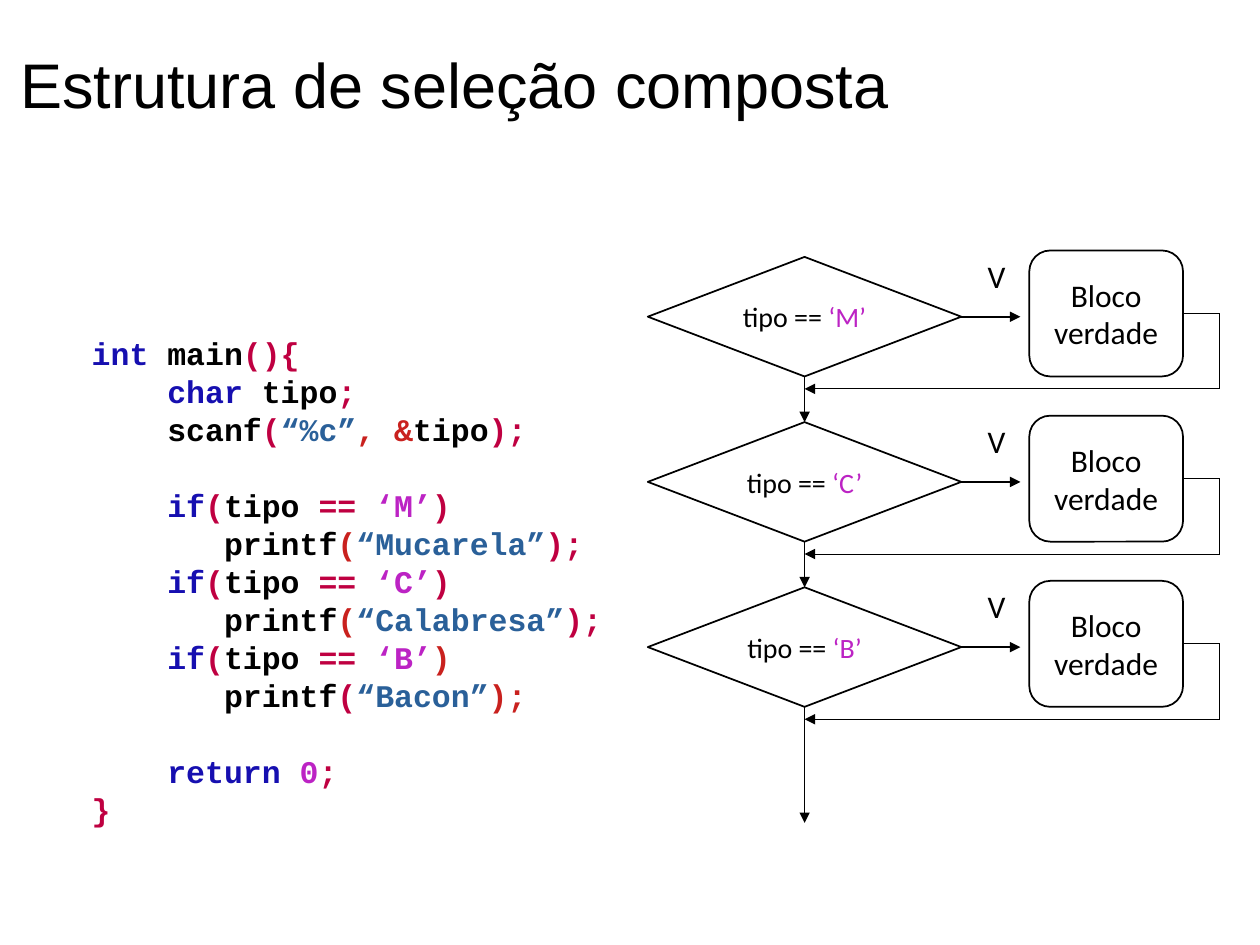
from dataclasses import dataclass

from lxml.etree import SubElement
from pptx import Presentation
from pptx.dml.color import RGBColor
from pptx.enum.shapes import MSO_CONNECTOR as CONN, MSO_SHAPE as SHAPE
from pptx.enum.text import MSO_ANCHOR as ANCHOR, PP_ALIGN as ALIGN
from pptx.oxml.ns import qn
from pptx.util import Cm, Pt


@dataclass(frozen=True)
class Theme:
    black: str = "000000"
    white: str = "FFFFFF"
    keyword: str = "160FB0"
    symbol: str = "BF0041"
    alert: str = "C9211E"
    string: str = "2A6099"
    literal: str = "BC23C4"
    heading: str = "Arial"
    body: str = "Calibri"
    mono: str = "Courier New"
    title_size: float = 36
    text_size: float = 18
    test_size: float = 16
    code_line: float = 21.7
    outline: float = 1
    flow: float = 0.5


T = Theme()


@dataclass(frozen=True)
class Branch:
    letter: str
    flavour: str
    test_close: str = T.symbol
    call_open: str = T.alert
    call_close: str = T.symbol


@dataclass(frozen=True)
class Line:
    runs: list
    gap: bool = False


BRANCHES = [
    Branch("M", "Mucarela"),
    Branch("C", "Calabresa"),
    Branch("B", "Bacon", T.alert, T.symbol, T.alert),
]
TOP, PITCH = 5.05, 3.33
TEST_X, TEST_W, TEST_H, TEST_DROP = 13.06, 6.32, 2.41, 0.13
BLOCK_X, BLOCK_W, BLOCK_H = 20.75, 3.1, 2.54
AXIS_X = TEST_X + TEST_W / 2
RETURN_X, RETURN_DROP = 24.59, 2.79
ARROW_END_X, FLOW_END_Y = 20.57, 16.59


def write(p, text: str, *, font: str = T.body, size: float = T.text_size,
          color: str = T.black, bold: bool = False) -> None:
    r = p.add_run()
    r.text = text
    r.font.name = font
    r.font.size = Pt(size)
    r.font.bold = bold
    r.font.color.rgb = RGBColor.from_string(color)


def add_box(s, x: float, y: float, w: float, h: float):
    sp = s.shapes.add_textbox(Cm(x), Cm(y), Cm(w), Cm(h))
    sp.text_frame.word_wrap = False
    return sp.text_frame


def add_node(s, kind, x: float, y: float, w: float, h: float):
    sp = s.shapes.add_shape(kind, Cm(x), Cm(y), Cm(w), Cm(h))
    sp.shadow.inherit = False
    sp.fill.solid()
    sp.fill.fore_color.rgb = RGBColor.from_string(T.white)
    sp.line.color.rgb = RGBColor.from_string(T.black)
    sp.line.width = Pt(T.outline)
    tf = sp.text_frame
    tf.word_wrap = True
    tf.vertical_anchor = ANCHOR.MIDDLE
    tf.paragraphs[0].alignment = ALIGN.CENTER
    return sp


def add_line(s, x1: float, y1: float, x2: float, y2: float, *,
             width: float = T.flow, arrow: bool = False):
    c = s.shapes.add_connector(CONN.STRAIGHT, Cm(x1), Cm(y1), Cm(x2), Cm(y2))
    c.line.color.rgb = RGBColor.from_string(T.black)
    c.line.width = Pt(width)
    if arrow:
        SubElement(c.line._get_or_add_ln(), qn("a:tailEnd"), type="triangle")
    SubElement(c._element.spPr, qn("a:effectLst"))
    return c


def add_step(s, branch: Branch, top: float):
    test = add_node(s, SHAPE.FLOWCHART_DECISION, TEST_X, top + TEST_DROP, TEST_W, TEST_H)
    p = test.text_frame.paragraphs[0]
    write(p, "tipo == ", size=T.test_size)
    write(p, f"‘{branch.letter}’", size=T.test_size, color=T.literal)

    block = add_node(s, SHAPE.ROUNDED_RECTANGLE, BLOCK_X, top, BLOCK_W, BLOCK_H)
    write(block.text_frame.paragraphs[0], "Bloco verdade")

    test_y = top + TEST_DROP + TEST_H / 2
    c = add_line(s, TEST_X + TEST_W, test_y, ARROW_END_X, test_y,
                 width=T.outline, arrow=True)
    c.begin_connect(test, 3)
    write(add_box(s, 19.66, top, 0.86, 1.02).paragraphs[0], "V")

    block_y, return_y = top + BLOCK_H / 2, top + RETURN_DROP
    c = add_line(s, BLOCK_X + BLOCK_W, block_y, RETURN_X, block_y)
    c.begin_connect(block, 3)
    add_line(s, RETURN_X, block_y, RETURN_X, return_y)
    add_line(s, RETURN_X, return_y, AXIS_X, return_y, arrow=True)
    return test


def branch_lines(branch: Branch, gap: bool) -> list[Line]:
    return [
        Line([("    ", T.black), ("if", T.keyword), ("(", T.symbol), ("tipo ", T.black),
              ("== ", T.symbol), (f"‘{branch.letter}’", T.literal),
              (")", branch.test_close)], gap),
        Line([("       printf", T.black), ("(", branch.call_open),
              (f"“{branch.flavour}”", T.string), (");", branch.call_close)]),
    ]


def add_code(s) -> None:
    lines = [
        Line([("int ", T.keyword), ("main", T.black), ("(){", T.symbol)]),
        Line([("    ", T.black), ("char ", T.keyword), ("tipo", T.black), (";", T.symbol)]),
        Line([("    scanf", T.black), ("(", T.symbol), ("“%c”", T.string),
              (", &", T.alert), ("tipo", T.black), (");", T.symbol)]),
    ]
    for i, branch in enumerate(BRANCHES):
        lines += branch_lines(branch, gap=i == 0)
    lines += [
        Line([("    ", T.black), ("return ", T.keyword), ("0", T.literal),
              (";", T.symbol)], gap=True),
        Line([("}", T.symbol)]),
    ]
    tf = add_box(s, 1.6, 6.6, 10.82, 10.16)
    for i, line in enumerate(lines):
        p = tf.add_paragraph() if i else tf.paragraphs[0]
        p.line_spacing = Pt(T.code_line)
        if line.gap:
            p.space_before = Pt(T.code_line)
        for text, color in line.runs:
            write(p, text, font=T.mono, color=color, bold=True)


def add_title(s, text: str) -> None:
    sp = s.shapes.title
    sp.left, sp.top, sp.width, sp.height = Cm(0.41), Cm(0.33), Cm(24.79), Cm(2.69)
    tf = sp.text_frame
    tf.margin_left = tf.margin_right = tf.margin_top = tf.margin_bottom = 0
    tf.vertical_anchor = ANCHOR.MIDDLE
    p = tf.paragraphs[0]
    p.alignment = ALIGN.LEFT
    write(p, text, font=T.heading, size=T.title_size)


def main() -> None:
    prs = Presentation()
    prs.slide_width, prs.slide_height = Cm(25.4), Cm(19.05)
    s = prs.slides.add_slide(prs.slide_layouts[5])
    add_title(s, "Estrutura de seleção composta")
    add_code(s)

    tests = [add_step(s, b, TOP + i * PITCH) for i, b in enumerate(BRANCHES)]
    for upper, lower in zip(tests, tests[1:]):
        c = add_line(s, AXIS_X, 0, AXIS_X, 1, arrow=True)
        c.begin_connect(upper, 2)
        c.end_connect(lower, 0)
    c = add_line(s, AXIS_X, 0, AXIS_X, FLOW_END_Y, arrow=True)
    c.begin_connect(tests[-1], 2)
    prs.save("out.pptx")


if __name__ == "__main__":
    main()
